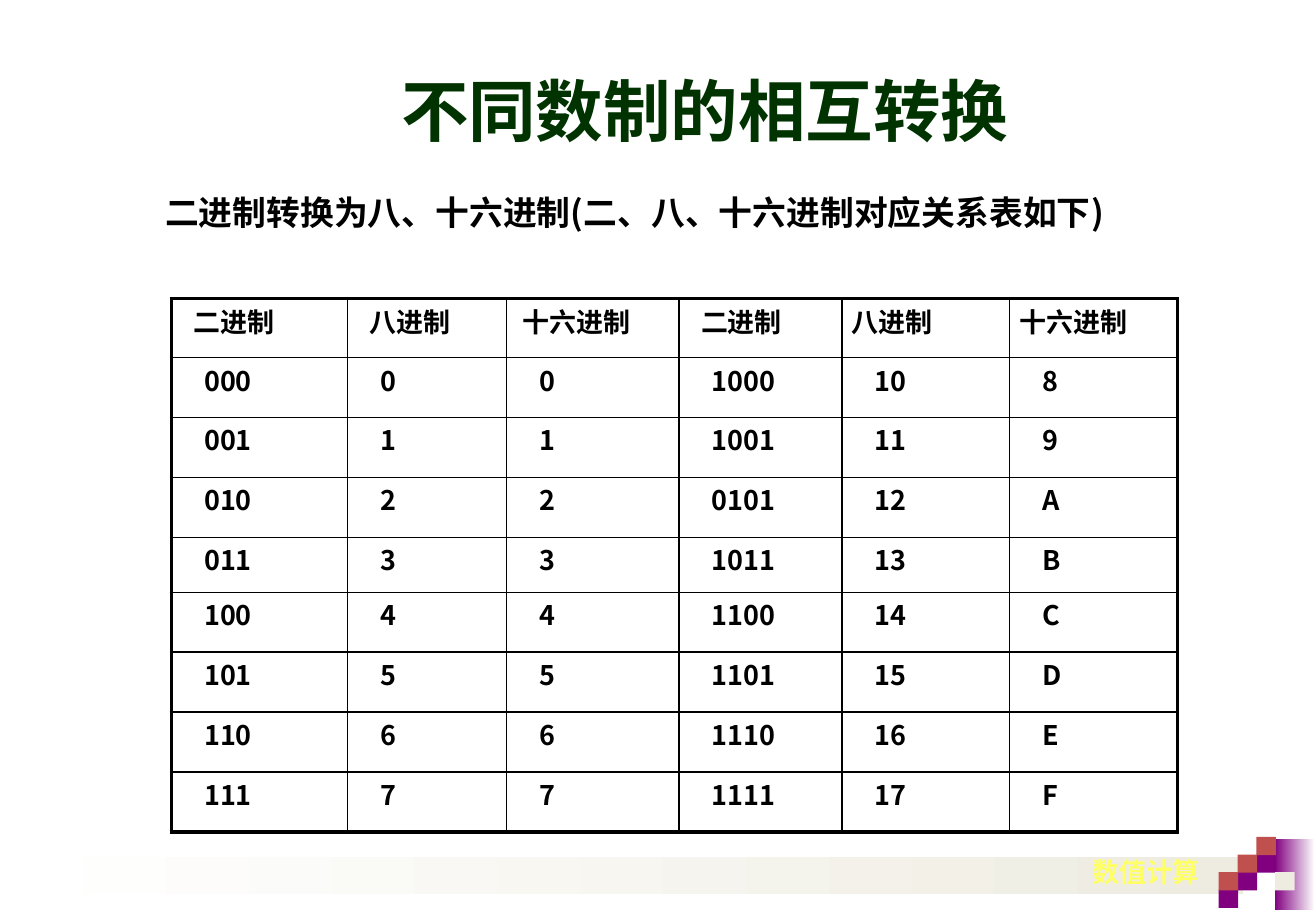
"""Build the slide on converting between number systems."""
from dataclasses import dataclass

from lxml.etree import SubElement
from pptx import Presentation
from pptx.dml.color import RGBColor as Rgb
from pptx.enum.shapes import MSO_SHAPE as Shape
from pptx.enum.text import MSO_ANCHOR as Anchor, PP_ALIGN as Align
from pptx.oxml.ns import qn
from pptx.util import Inches, Pt

WIDTH, HEIGHT = Inches(10.83), Inches(7.5)


@dataclass(frozen=True)
class Theme:
    """Colours, fonts and sizes of the slide."""
    black: str = "000000"
    white: str = "FFFFFF"
    green: str = "003300"
    yellow: str = "FFFF66"
    purple: str = "800080"
    red: str = "C0504D"
    beige: str = "EEECE1"
    latin: str = "Arial"
    asian: str = "Noto Sans CJK SC"
    title: int = 40
    lead: int = 20
    small: int = 16
    inner: float = 1
    outer: float = 2.25


THEME = Theme()
HEADINGS = ["二进制", "八进制", "十六进制"] * 2
HEADING_INSETS = [0.18, 0.18, 0.13, 0.18, 0.08, 0.08]
DIGIT_INSET = 0.27
BINARIES = ["000", "001", "010", "011", "100", "101", "110", "111",
            "1000", "1001", "0101", "1011", "1100", "1101", "1110", "1111"]
COLUMN_SHARES = [1.45, 1.31, 1.42, 1.34, 1.38, 1.38]
ROW_SHARES = [0.48, 0.49, 0.49, 0.49, 0.45, 0.49, 0.49, 0.49, 0.49]
TILES = [(1, 2, THEME.purple), (0, 3, THEME.purple), (0, 2, THEME.red),
         (2, 1, THEME.purple), (3, 2, THEME.beige), (1, 1, THEME.red),
         (2, 0, THEME.red)]


def apply(target, formats):
    """Set each attribute named in formats."""
    for name, value in formats.items():
        setattr(target, name, value)


def place(left, top, width, height):
    """Turn percentages of the slide into a left, top, width, height tuple."""
    return tuple(int(side * share / 100) for side, share in
                 zip((WIDTH, HEIGHT, WIDTH, HEIGHT), (left, top, width, height)))


def write(frame, wording, size, color, face):
    """Put one bold line of text into a frame."""
    line = frame.paragraphs[0]
    line.alignment = Align.LEFT
    run = line.add_run()
    run.text = wording
    apply(run.font, {"name": face, "size": Pt(size), "bold": True})
    run.font.color.rgb = Rgb.from_string(color)
    SubElement(run.font._element, qn("a:ea"), typeface=THEME.asian)


def add_title(slide, wording):
    """Place and format the title placeholder."""
    title = slide.shapes.title
    apply(title, dict(zip(("left", "top", "width", "height"),
                          place(29.55, 6.93, 52.17, 10.27))))
    apply(title.text_frame, {"word_wrap": False,
                             "vertical_anchor": Anchor.MIDDLE})
    write(title.text_frame, wording, THEME.title, THEME.green, THEME.latin)


def add_label(slide, box, wording, size, color, face, wrap):
    """Add a line of text in its own box."""
    frame = slide.shapes.add_textbox(*place(*box)).text_frame
    apply(frame, {"word_wrap": wrap, "margin_top": Inches(0.03)})
    write(frame, wording, size, color, face)


def add_block(slide, box, *colors):
    """Add a rectangle, plain or fading from the first colour to the second."""
    block = slide.shapes.add_shape(Shape.RECTANGLE, *place(*box))
    block.shadow.inherit = False
    block.line.fill.background()
    if len(colors) == 1:
        block.fill.solid()
        block.fill.fore_color.rgb = Rgb.from_string(colors[0])
        return
    block.fill.gradient()
    block.fill.gradient_angle = 0
    for stop, position, color in zip(block.fill.gradient_stops, (0, 1), colors):
        stop.position = position
        stop.color.rgb = Rgb.from_string(color)


def add_footer(slide):
    """Add the fading band, the mosaic and the course name."""
    add_block(slide, (0, 94.13, 94.46, 4), THEME.white, THEME.beige)
    add_block(slide, (96.86, 92.13, 3.05, 7.73), THEME.purple, THEME.white)
    for column, row, color in TILES:
        add_block(slide, (92.61 + 1.43 * column, 91.87 + 1.93 * row, 1.48, 2),
                  color)
    add_label(slide, (82.09, 93.47, 10.06, 4.93), "数值计算", THEME.small,
              THEME.yellow, THEME.latin, False)


def draw_borders(cell, outer_edges):
    """Rule the four edges of a cell, thicker on the outside of the table."""
    for edge, is_outer in outer_edges.items():
        points = THEME.outer if is_outer else THEME.inner
        rule = SubElement(cell._tc.get_or_add_tcPr(), qn(f"a:ln{edge}"),
                          w=str(int(Pt(points))))
        fill = SubElement(rule, qn("a:solidFill"))
        SubElement(fill, qn("a:srgbClr"), val=THEME.black)


def share_out(tracks, shares, total, side):
    """Divide a total length among table columns or rows."""
    for track, share in zip(tracks, shares):
        setattr(track, side, int(total * share / sum(shares)))


def conversion_rows():
    """List the headings and the eight rows of matching numbers."""
    numbers = [[binary, f"{value:o}", f"{value:X}"]
               for value, binary in enumerate(BINARIES)]
    half = len(numbers) // 2
    return [HEADINGS] + [low + high for low, high in
                         zip(numbers[:half], numbers[half:])]


def add_conversion_table(slide):
    """Add the ruled table of binary, octal and hexadecimal numbers."""
    rows = conversion_rows()
    last_row, last_column = len(rows) - 1, len(HEADINGS) - 1
    box = place(13.02, 32.8, 76.45, 58.53)
    table = slide.shapes.add_table(len(rows), len(HEADINGS), *box).table
    apply(table, {"first_row": False, "horz_banding": False})
    share_out(table.columns, COLUMN_SHARES, box[2], "width")
    share_out(table.rows, ROW_SHARES, box[3], "height")
    for r, entries in enumerate(rows):
        for c, entry in enumerate(entries):
            cell = table.cell(r, c)
            inset = DIGIT_INSET if r else HEADING_INSETS[c]
            apply(cell, {"margin_left": Inches(inset),
                         "margin_right": Inches(0.08),
                         "margin_top": Inches(0.02),
                         "margin_bottom": Inches(0.02)})
            draw_borders(cell, {"L": c == 0, "R": c == last_column,
                                "T": r == 0, "B": r == last_row})
            cell.fill.background()
            write(cell.text_frame, entry, THEME.small, THEME.black, THEME.asian)


def main():
    """Build and save the slide."""
    deck = Presentation()
    apply(deck, {"slide_width": WIDTH, "slide_height": HEIGHT})
    slide = deck.slides.add_slide(deck.slide_layouts.get_by_name("Title Only"))
    add_footer(slide)
    add_label(slide, (11.63, 20.67, 88.37, 6),
              "二进制转换为八、十六进制(二、八、十六进制对应关系表如下)",
              THEME.lead, THEME.black, THEME.asian, True)
    add_conversion_table(slide)
    add_title(slide, "不同数制的相互转换")
    deck.save("out.pptx")


if __name__ == "__main__":
    main()
